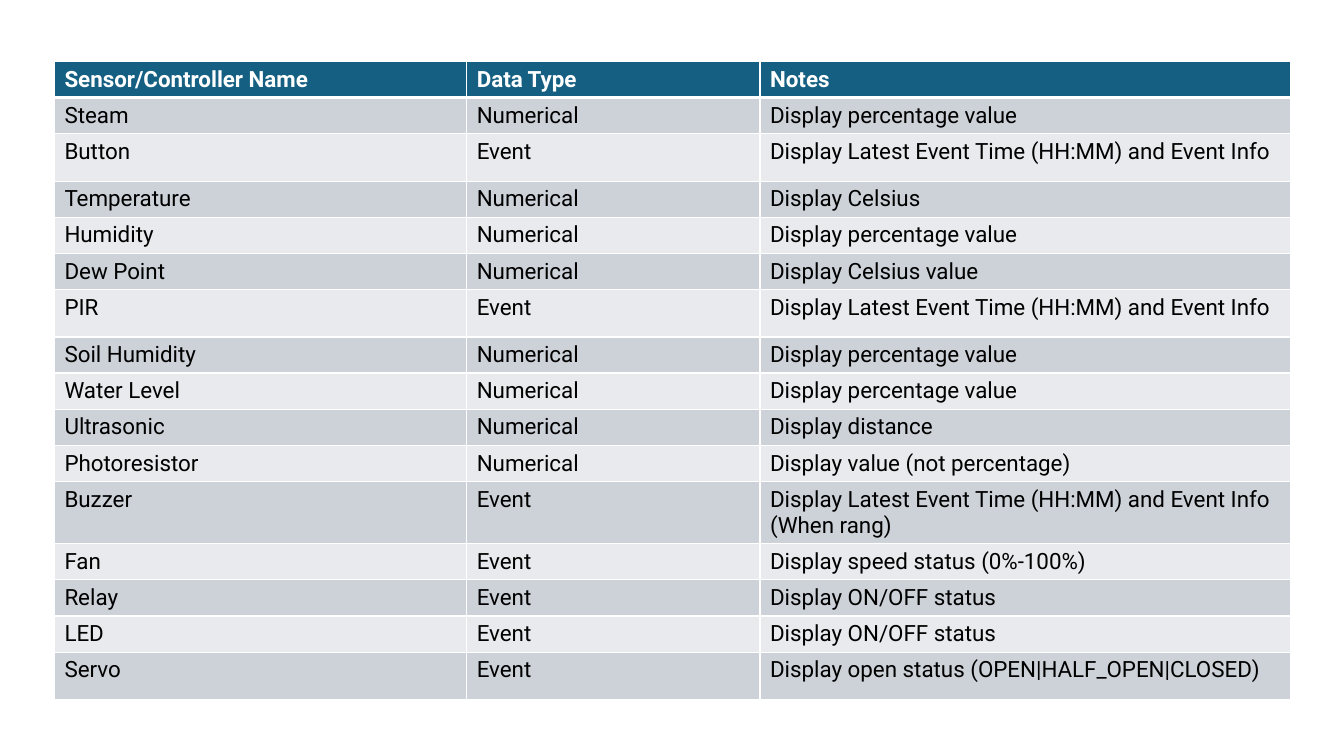
from lxml.etree import SubElement
from pptx import Presentation
from pptx.dml.color import RGBColor
from pptx.oxml.ns import qn
from pptx.util import Pt

WHITE = RGBColor(0xFF, 0xFF, 0xFF)
BLACK = RGBColor(0x00, 0x00, 0x00)
HEADER_BLUE = RGBColor(0x15, 0x60, 0x82)
BAND_DARK = RGBColor(0xCC, 0xD2, 0xD8)
BAND_LIGHT = RGBColor(0xE8, 0xEA, 0xED)

FONT = "Roboto"
FONT_SIZE = Pt(16)
COLUMN_WIDTHS = [Pt(294.5), Pt(209.5), Pt(378.7)]
ROW_HEIGHT = Pt(21.6)
TALL_ROW_HEIGHT = Pt(33.84)
TALL_ROWS = {"Button", "PIR", "Buzzer", "Servo"}
THIN, THICK = Pt(1), Pt(3)

HEADER = ("Sensor/Controller Name", "Data Type", "Notes")
SENSORS = [
    ("Steam", "Numerical", "Display percentage value"),
    ("Button", "Event", "Display Latest Event Time (HH:MM) and Event Info"),
    ("Temperature", "Numerical", "Display Celsius"),
    ("Humidity", "Numerical", "Display percentage value"),
    ("Dew Point", "Numerical", "Display Celsius value"),
    ("PIR", "Event", "Display Latest Event Time (HH:MM) and Event Info"),
    ("Soil Humidity", "Numerical", "Display percentage value"),
    ("Water Level", "Numerical", "Display percentage value"),
    ("Ultrasonic", "Numerical", "Display distance"),
    ("Photoresistor", "Numerical", "Display value (not percentage)"),
    ("Buzzer", "Event", "Display Latest Event Time (HH:MM) and Event Info (When rang)"),
    ("Fan", "Event", "Display speed status (0%-100%)"),
    ("Relay", "Event", "Display ON/OFF status"),
    ("LED", "Event", "Display ON/OFF status"),
    ("Servo", "Event", "Display open status (OPEN|HALF_OPEN|CLOSED)"),
]


def set_borders(cell, top, bottom):
    """Draw white borders; left and right are always thin."""
    properties = cell._tc.get_or_add_tcPr()
    widths = {"a:lnL": THIN, "a:lnR": THIN, "a:lnT": top, "a:lnB": bottom}
    for tag, width in widths.items():
        line = SubElement(properties, qn(tag), w=str(int(width)))
        fill = SubElement(line, qn("a:solidFill"))
        SubElement(fill, qn("a:srgbClr"), val=str(WHITE))


def fill_cell(cell, text, fill_color, text_color, bold):
    cell.fill.solid()
    cell.fill.fore_color.rgb = fill_color
    run = cell.text_frame.paragraphs[0].add_run()
    run.text = text
    run.font.name = FONT
    run.font.size = FONT_SIZE
    run.font.bold = bold
    run.font.color.rgb = text_color


def add_sensor_table(slide):
    rows = [HEADER] + SENSORS
    height = Pt(464.4)
    frame = slide.shapes.add_table(
        len(rows), len(HEADER), Pt(38.9), Pt(43.9), sum(COLUMN_WIDTHS), height
    )
    table = frame.table
    for column, width in zip(table.columns, COLUMN_WIDTHS):
        column.width = width

    for index, values in enumerate(rows):
        is_header = index == 0
        table.rows[index].height = TALL_ROW_HEIGHT if values[0] in TALL_ROWS else ROW_HEIGHT
        band = BAND_DARK if index % 2 else BAND_LIGHT
        for cell, text in zip(table.rows[index].cells, values):
            # The header and the first sensor row share a thick edge
            set_borders(cell, THICK if index == 1 else THIN, THICK if is_header else THIN)
            fill_cell(
                cell,
                text,
                HEADER_BLUE if is_header else band,
                WHITE if is_header else BLACK,
                is_header,
            )
    frame.height = height


def main():
    presentation = Presentation()
    presentation.slide_width = Pt(960)
    presentation.slide_height = Pt(540)
    slide = presentation.slides.add_slide(presentation.slide_layouts[6])

    # Sensor overview
    add_sensor_table(slide)

    presentation.save("out.pptx")


if __name__ == "__main__":
    main()
